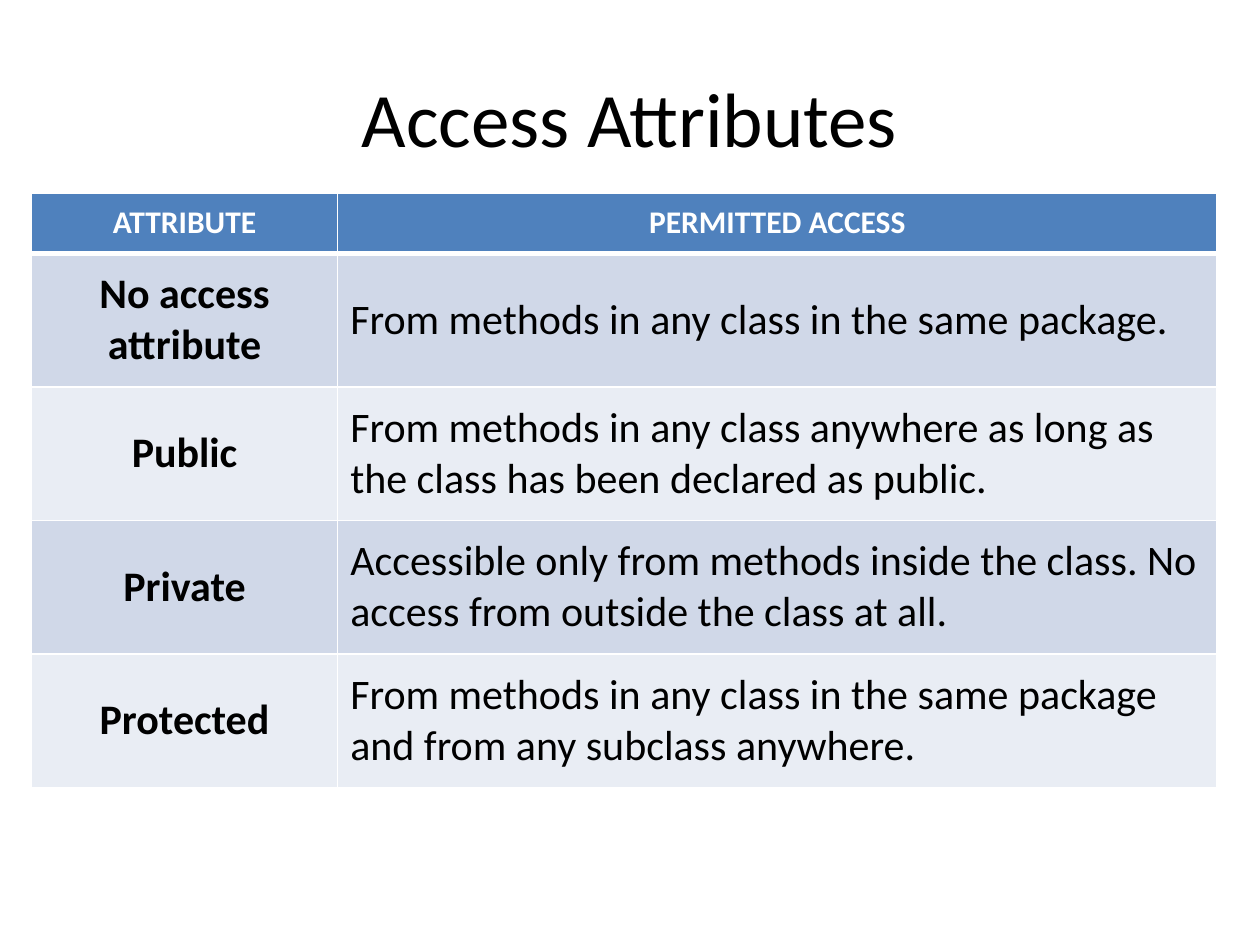
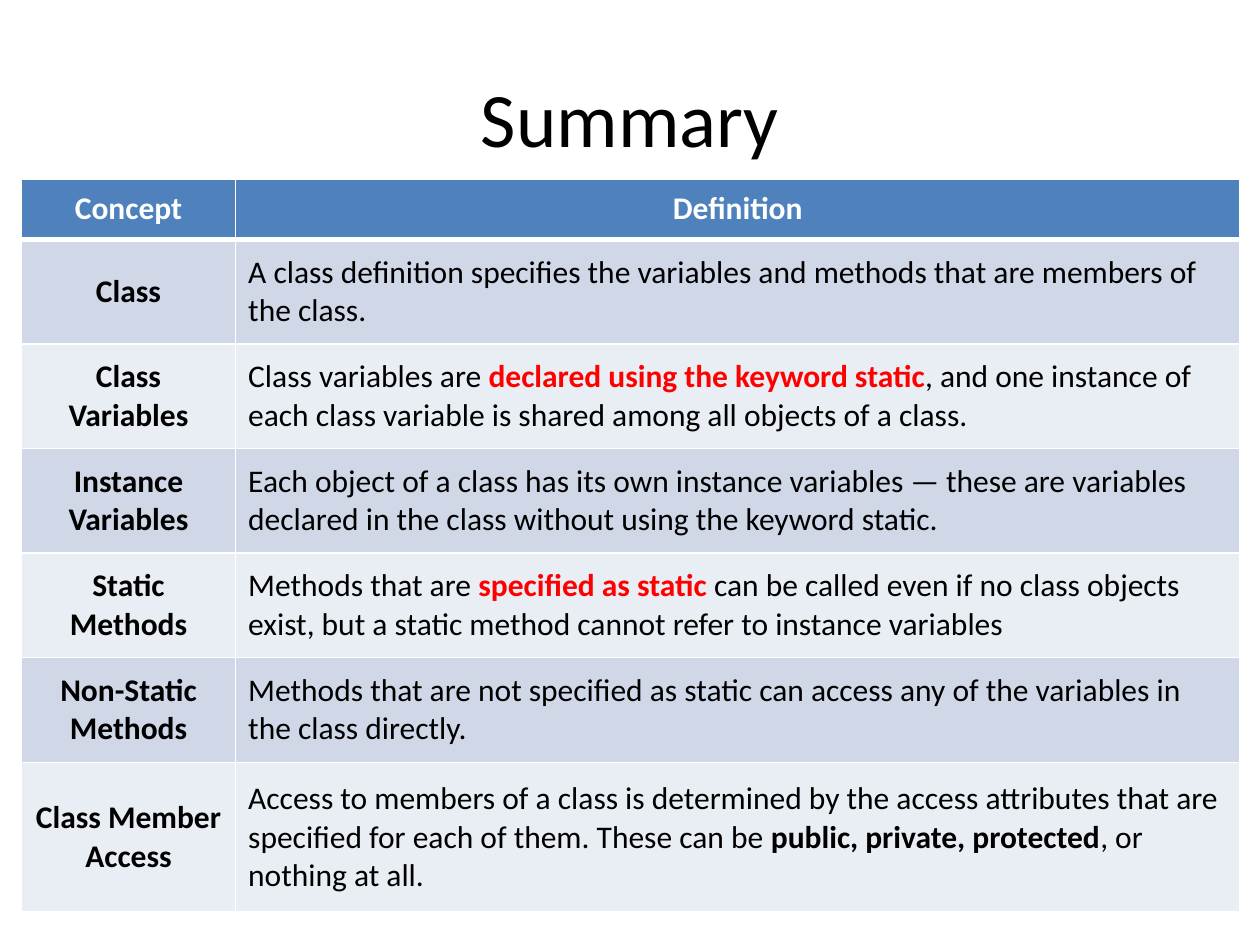
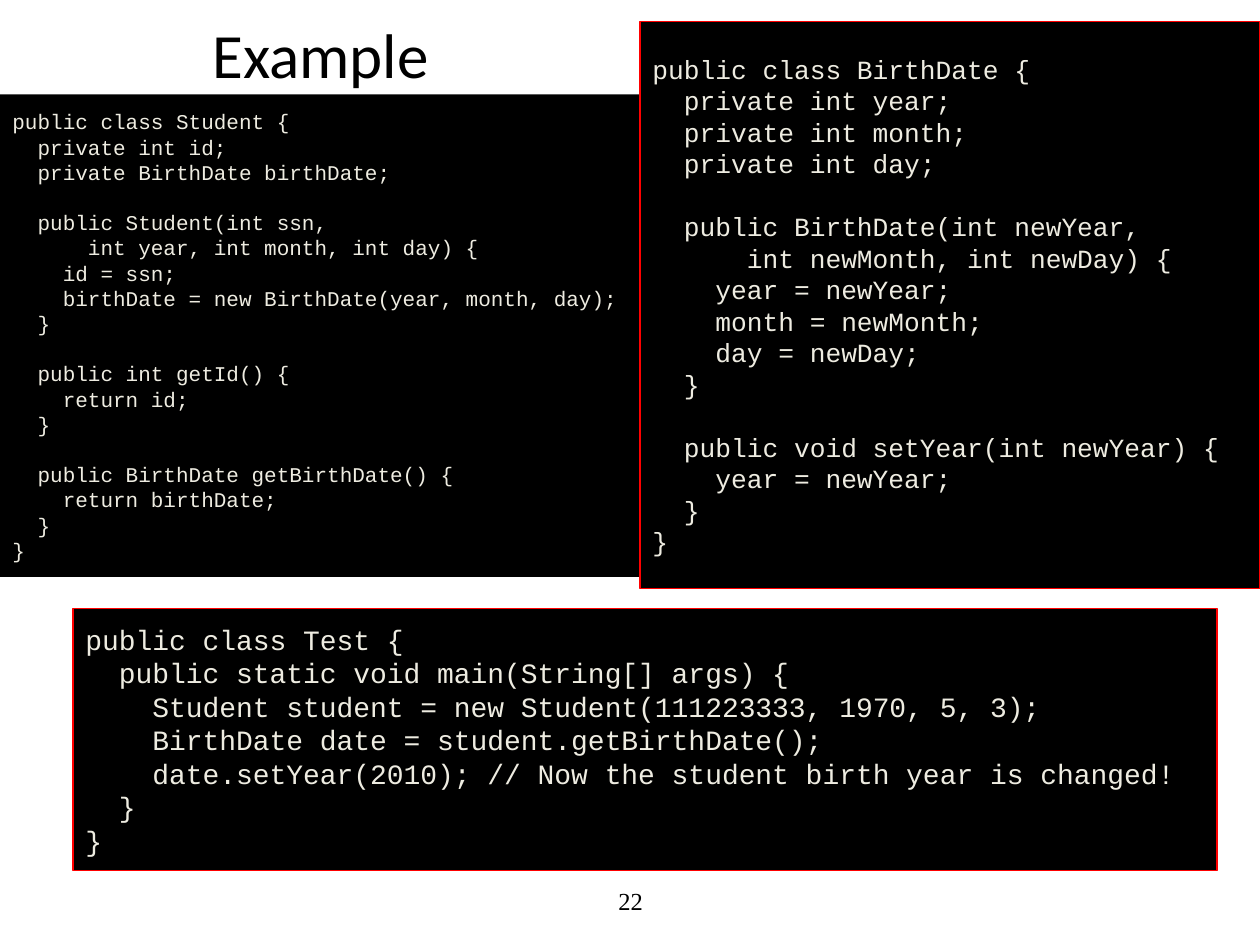
"""Build three slides on Java class members: two tables and a code example."""
from dataclasses import dataclass
from typing import Optional

from lxml.etree import SubElement
from pptx import Presentation
from pptx.dml.color import RGBColor
from pptx.enum.shapes import MSO_SHAPE
from pptx.enum.text import MSO_ANCHOR, PP_ALIGN
from pptx.oxml.ns import qn
from pptx.util import Inches, Pt

BLACK = RGBColor(0x00, 0x00, 0x00)
WHITE = RGBColor(0xFF, 0xFF, 0xFF)
RED = RGBColor(0xFF, 0x00, 0x00)
CREAM = RGBColor(0xEE, 0xEC, 0xE1)
HEADER_BLUE = RGBColor(0x4F, 0x81, 0xBD)
BANDS = (RGBColor(0xD0, 0xD8, 0xE8), RGBColor(0xE9, 0xED, 0xF4))

BODY_FONT = "Calibri"
CODE_FONT = "Courier New"
NUMBER_FONT = "Times New Roman"
THIN_RULE = 1
HEADER_RULE = 3


@dataclass(frozen=True)
class Frame:
    """Left, top, width and height in inches."""
    left: float
    top: float
    width: float
    height: float

    def lengths(self) -> tuple:
        """Return the four sides as lengths."""
        return tuple(Inches(side) for side in (self.left, self.top, self.width, self.height))


@dataclass(frozen=True)
class Style:
    """Character style of a span."""
    size: float
    color: RGBColor = BLACK
    bold: bool = False
    font: str = BODY_FONT


@dataclass(frozen=True)
class Span:
    """Piece of a definition with its own emphasis."""
    text: str
    color: RGBColor = BLACK
    bold: bool = False


@dataclass(frozen=True)
class Entry:
    """Table row: a term and the spans that explain it."""
    term: str
    spans: tuple


@dataclass(frozen=True)
class TermTable:
    """Two-column table of terms."""
    left: float
    top: float
    columns: tuple
    rows: tuple
    headings: tuple
    size: float
    entries: tuple


@dataclass(frozen=True)
class CodePanel:
    """Black panel that holds one class."""
    frame: Frame
    size: float
    code: str
    outline: Optional[RGBColor] = None


TITLE_FRAME = Frame(0.5, 0.3, 9, 1.25)

ACCESS_TABLE = TermTable(
    0.25, 1.53, (2.43, 6.98), (0.48,) + (1.06,) * 4,
    ("ATTRIBUTE", "PERMITTED ACCESS"), 24,
    (
        Entry("No access attribute", (
            Span("From methods in any class in the same package."),)),
        Entry("Public", (
            Span("From methods in any class anywhere as long as the class has been "
                 "declared as public."),)),
        Entry("Private", (
            Span("Accessible only from methods inside the class. No access from outside "
                 "the class at all."),)),
        Entry("Protected", (
            Span("From methods in any class in the same package and from any subclass "
                 "anywhere."),)),
    ))

SUMMARY_TABLE = TermTable(
    0.17, 1.42, (1.7, 7.97), (0.48,) + (0.83,) * 5 + (1.19,),
    ("Concept", "Definition"), 18,
    (
        Entry("Class", (
            Span("A class de\ufb01nition speci\ufb01es the variables and methods that are "
                 "members of the class."),)),
        Entry("Class Variables", (
            Span("Class variables are "),
            Span("declared using the keyword static", RED, True),
            Span(", and one instance of each class variable is shared among all objects "
                 "of a class."))),
        Entry("Instance Variables", (
            Span("Each object of a class has its own instance variables \u2014 these are "
                 "variables declared in the class without using the keyword static."),)),
        Entry("Static Methods", (
            Span("Methods that are "),
            Span("speci\ufb01ed as static", RED, True),
            Span(" can be called even if no class objects exist, but a static method "
                 "cannot refer to instance variables"))),
        Entry("Non-Static Methods", (
            Span("Methods that are not speci\ufb01ed as static can access any of the "
                 "variables in the class directly."),)),
        Entry("Class Member Access", (
            Span("Access to members of a class is determined by the access attributes "
                 "that are speci\ufb01ed for each of them. These can be "),
            Span("public, private, protected", bold=True),
            Span(", or nothing at all."))),
    ))

STUDENT_CODE = """public class Student {
  private int id;
  private BirthDate birthDate;

  public Student(int ssn,
      int year, int month, int day) {
    id = ssn;
    birthDate = new BirthDate(year, month, day);
  }

  public int getId() {
    return id;
  }

  public BirthDate getBirthDate() {
    return birthDate;
  }
}"""

BIRTH_DATE_CODE = """public class BirthDate {
  private int year;
  private int month;
  private int day;

  public BirthDate(int newYear,
      int newMonth, int newDay) {
    year = newYear;
    month = newMonth;
    day = newDay;
  }

  public void setYear(int newYear) {
    year = newYear;
  }
}"""

TEST_CODE = """public class Test {
  public static void main(String[] args) {
    Student student = new Student(111223333, 1970, 5, 3);
    BirthDate date = student.getBirthDate();
    date.setYear(2010); // Now the student birth year is changed!
  }
}"""

CODE_PANELS = (
    CodePanel(Frame(0, 0.75, 5.08, 3.83), 12, STUDENT_CODE),
    CodePanel(Frame(5.08, 0.17, 4.92, 4.5), 15, BIRTH_DATE_CODE, RED),
    CodePanel(Frame(0.58, 4.83, 9.08, 2.08), 16, TEST_CODE, RED),
)


def add_span(para, text: str, style: Style) -> None:
    """Append one styled run to a paragraph."""
    span = para.add_run()
    span.text = text
    span.font.name = style.font
    span.font.size = Pt(style.size)
    span.font.bold = style.bold
    span.font.color.rgb = style.color


def add_label(page, frame: Frame, text: str, style: Style) -> None:
    """Place a centred line of text."""
    box = page.shapes.add_textbox(*frame.lengths())
    box.text_frame.word_wrap = True
    box.text_frame.vertical_anchor = MSO_ANCHOR.MIDDLE
    para = box.text_frame.paragraphs[0]
    para.alignment = PP_ALIGN.CENTER
    add_span(para, text, style)


def add_title(page, text: str, frame: Frame = TITLE_FRAME, size: float = 44) -> None:
    """Place the slide title."""
    add_label(page, frame, text, Style(size))


def set_borders(cell, top: float, bottom: float) -> None:
    """Rule the four sides of a cell in white."""
    properties = cell._tc.get_or_add_tcPr()
    widths = {"lnL": THIN_RULE, "lnR": THIN_RULE, "lnT": top, "lnB": bottom}
    for side, width in widths.items():
        line = SubElement(properties, qn(f"a:{side}"), w=str(Pt(width)))
        fill = SubElement(line, qn("a:solidFill"))
        SubElement(fill, qn("a:srgbClr"), val=str(WHITE))


def fill_cell(cell, row: int, spans: tuple, size: float, centred: bool) -> None:
    """Rule, colour and write one cell according to its row."""
    set_borders(cell,
                top=HEADER_RULE if row == 1 else THIN_RULE,
                bottom=HEADER_RULE if row == 0 else THIN_RULE)
    cell.fill.solid()
    cell.fill.fore_color.rgb = BANDS[(row - 1) % 2] if row else HEADER_BLUE
    cell.vertical_anchor = MSO_ANCHOR.MIDDLE
    para = cell.text_frame.paragraphs[0]
    para.alignment = PP_ALIGN.CENTER if centred else PP_ALIGN.LEFT
    for span in spans:
        add_span(para, span.text, Style(size, span.color, span.bold))


def add_term_table(page, terms: TermTable) -> None:
    """Draw a header row and one banded row for each entry."""
    frame = Frame(terms.left, terms.top, sum(terms.columns), sum(terms.rows))
    table = page.shapes.add_table(
        len(terms.rows), len(terms.columns), *frame.lengths()).table
    for column, width in zip(table.columns, terms.columns):
        column.width = Inches(width)
    for row, height in zip(table.rows, terms.rows):
        row.height = Inches(height)
    for column, heading in enumerate(terms.headings):
        fill_cell(table.cell(0, column), 0, (Span(heading, WHITE, True),), 18, True)
    for row, entry in enumerate(terms.entries, start=1):
        fill_cell(table.cell(row, 0), row, (Span(entry.term, bold=True),), terms.size, True)
        fill_cell(table.cell(row, 1), row, entry.spans, terms.size, False)


def add_code_panel(page, panel: CodePanel) -> None:
    """Draw a black panel with its code, one line break between lines."""
    box = page.shapes.add_shape(MSO_SHAPE.RECTANGLE, *panel.frame.lengths())
    box.shadow.inherit = False
    box.fill.solid()
    box.fill.fore_color.rgb = BLACK
    if panel.outline is None:
        box.line.fill.background()
    else:
        box.line.color.rgb = panel.outline
        box.line.width = Pt(0.75)
    box.text_frame.word_wrap = True
    box.text_frame.vertical_anchor = MSO_ANCHOR.MIDDLE
    para = box.text_frame.paragraphs[0]
    para.alignment = PP_ALIGN.LEFT
    para.font.size = Pt(panel.size)
    para.font.name = CODE_FONT
    style = Style(panel.size, CREAM, font=CODE_FONT)
    for number, line in enumerate(panel.code.splitlines()):
        if number:
            para.add_line_break()
            size_break(para, panel.size)
        if line:
            add_span(para, line, style)


def size_break(para, size: float) -> None:
    """Give the latest line break the size and font of the code."""
    line_break = para._p.findall(qn("a:br"))[-1]
    properties = SubElement(line_break, qn("a:rPr"), sz=str(int(size * 100)))
    SubElement(properties, qn("a:latin"), typeface=CODE_FONT)


def add_table_page(deck, title: str, terms: TermTable) -> None:
    """Add a slide with a title and a table of terms."""
    page = deck.slides.add_slide(deck.slide_layouts[6])
    add_title(page, title)
    add_term_table(page, terms)


def add_example_page(deck) -> None:
    """Add the slide with the three classes."""
    page = deck.slides.add_slide(deck.slide_layouts[6])
    add_label(page, Frame(3.42, 6.95, 3.17, 0.4), "22", Style(14, font=NUMBER_FONT))
    add_title(page, "Example", Frame(0.67, 0.17, 3.75, 0.5), 36)
    for panel in CODE_PANELS:
        add_code_panel(page, panel)


def main() -> None:
    """Build and save the deck."""
    deck = Presentation()
    deck.slide_width = Inches(10)
    deck.slide_height = Inches(7.5)
    add_table_page(deck, "Access Attributes", ACCESS_TABLE)
    add_table_page(deck, "Summary", SUMMARY_TABLE)
    add_example_page(deck)
    deck.save("out.pptx")


main()
